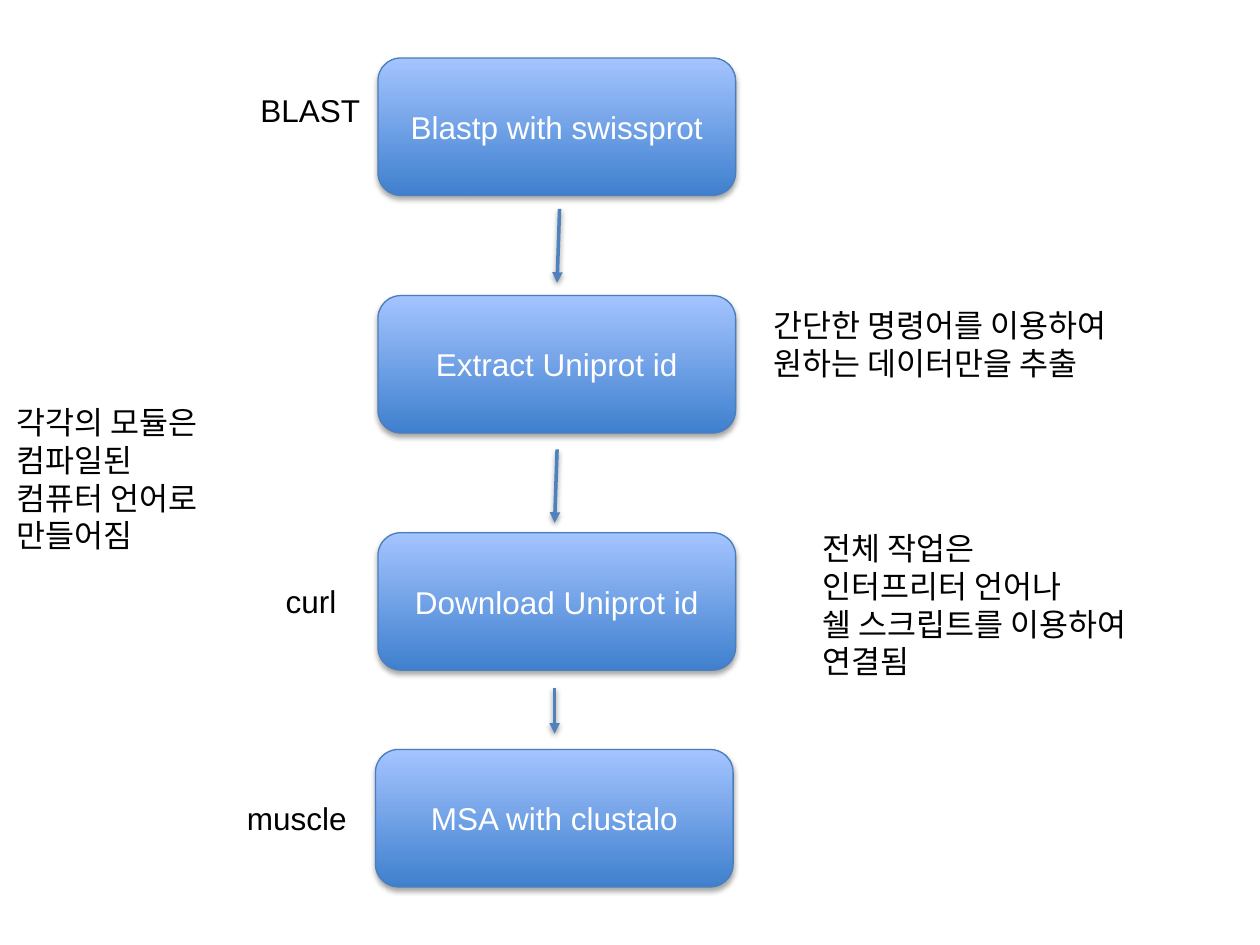
from lxml import etree
from pptx import Presentation
from pptx import util as u
from pptx.dml.color import RGBColor
from pptx.enum import shapes, text
from pptx.oxml.ns import qn

BOX_W, BOX_H = 7.21, 2.77

# left, top, wording of each step
STEPS = [
    (7.62, 1.17, "Blastp with swissprot"),
    (7.62, 5.96, "Extract Uniprot id"),
    (7.62, 10.74, "Download Uniprot id"),
    (7.57, 15.11, "MSA with clustalo"),
]
# start x, start y, end x, end y
ARROWS = [
    (11.28, 4.21, 11.23, 5.7),
    (11.23, 9.06, 11.18, 10.54),
    (11.18, 13.87, 11.18, 14.79),
]
# left, top, width, height, lines
NOTES = [
    (5, 1.71, 2.54, 1.03, ["BLAST"]),
    (5.51, 11.61, 1.56, 1.03, ["curl"]),
    (4.73, 15.98, 2.53, 1.03, ["muscle"]),
    (0.08, 8, 4.55, 3.33,
     ["각각의 모듈은", "컴파일된", "컴퓨터 언어로", "만들어짐"]),
    (16.33, 10.54, 7.29, 3.33,
     ["전체 작업은", "인터프리터 언어나", "쉘 스크립트를 이용하여", "연결됨"]),
    (15.35, 6.04, 7.92, 1.8,
     ["간단한 명령어를 이용하여", "원하는 데이터만을 추출"]),
]


def rgb(code):
    return RGBColor.from_string(code)


def write(frame, lines, size=18, font="Arial", color="000000", align=None):
    for i, line in enumerate(lines):
        para = frame.paragraphs[0] if i == 0 else frame.add_paragraph()
        para.alignment = align
        run = para.add_run()
        run.text = line
        run.font.size = u.Pt(size)
        run.font.name = font
        run.font.color.rgb = rgb(color)


def shade(shape, alpha, dist):
    """Give the shape a soft shadow straight below it."""
    props = shape._element.spPr
    effects = etree.SubElement(props, qn("a:effectLst"))
    outer = etree.SubElement(
        effects, qn("a:outerShdw"), blurRad=str(u.Pt(3.1)),
        dist=str(u.Pt(dist)), dir="5400000", rotWithShape="0")
    black = etree.SubElement(outer, qn("a:srgbClr"), val="000000")
    etree.SubElement(black, qn("a:alpha"), val=str(alpha * 1000))


def add_step(slide, left, top, label):
    box = slide.shapes.add_shape(
        shapes.MSO_SHAPE.ROUNDED_RECTANGLE,
        u.Cm(left), u.Cm(top), u.Cm(BOX_W), u.Cm(BOX_H))
    box.fill.gradient()
    box.fill.gradient_angle = 90
    for stop, code in zip(box.fill.gradient_stops, ("3F80CE", "A4C4FF")):
        stop.color.rgb = rgb(code)
    box.line.color.rgb = rgb("4B7EBC")
    box.line.width = u.Pt(0.75)
    shade(box, 35, 1.8)
    frame = box.text_frame
    frame.vertical_anchor = text.MSO_ANCHOR.MIDDLE
    write(frame, [label], color="FFFFFF", align=text.PP_ALIGN.CENTER)


def add_arrow(slide, *ends):
    arrow = slide.shapes.add_connector(
        shapes.MSO_CONNECTOR.STRAIGHT, *map(u.Cm, ends))
    arrow.line.color.rgb = rgb("4F81BD")
    arrow.line.width = u.Pt(2)
    line = arrow._element.spPr.find(qn("a:ln"))
    etree.SubElement(line, qn("a:tailEnd"), type="triangle")
    shade(arrow, 38, 1.6)


def add_note(slide, left, top, width, height, lines):
    note = slide.shapes.add_textbox(*map(u.Cm, (left, top, width, height)))
    frame = note.text_frame
    frame.word_wrap = False
    frame.auto_size = text.MSO_AUTO_SIZE.SHAPE_TO_FIT_TEXT
    write(frame, lines)


def main():
    deck = Presentation()
    deck.slide_width, deck.slide_height = u.Cm(25.4), u.Cm(19.05)
    slide = deck.slides.add_slide(deck.slide_layouts[6])

    # Pipeline, top to bottom
    for step in STEPS:
        add_step(slide, *step)
    for ends in ARROWS:
        add_arrow(slide, *ends)

    # Tools and remarks beside the pipeline
    for note in NOTES:
        add_note(slide, *note)

    deck.save("out.pptx")


if __name__ == "__main__":
    main()
